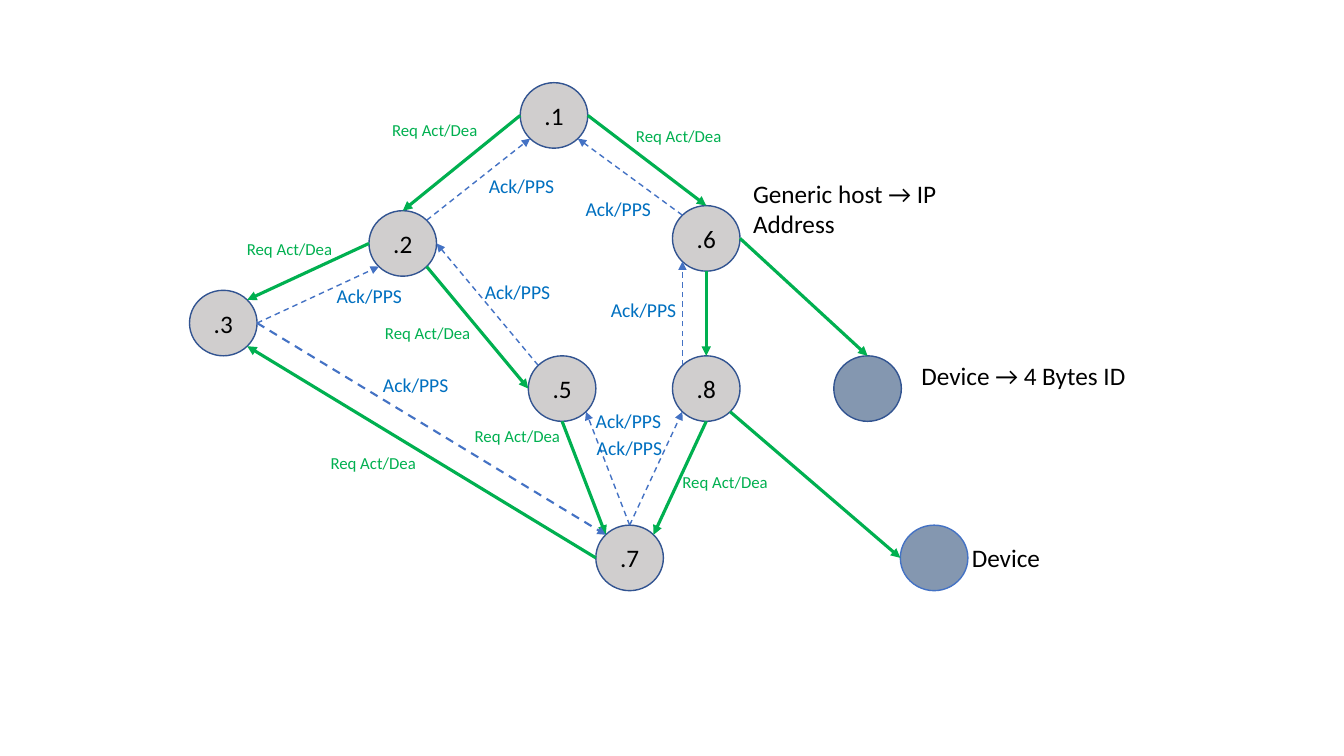
"""Build a slide showing request and acknowledgement flows in a host network."""
import math

from lxml import etree
from pptx import Presentation
from pptx.dml.color import RGBColor
from pptx.enum import dml, shapes, text
from pptx.oxml import ns
from pptx.util import Inches, Pt

BLACK = RGBColor(0x00, 0x00, 0x00)
GREEN = RGBColor(0x00, 0xB0, 0x50)
SKY = RGBColor(0x00, 0x70, 0xC0)
BLUE = RGBColor(0x44, 0x72, 0xC4)
NAVY = RGBColor(0x32, 0x54, 0x91)
GREY = RGBColor(0xD0, 0xCE, 0xCE)
SLATE = RGBColor(0x84, 0x97, 0xB0)

NODE_W, NODE_H = 0.67, 0.65
TOP, TOP_LEFT, LEFT, BOTTOM_LEFT, BOTTOM, BOTTOM_RIGHT, RIGHT, TOP_RIGHT = range(8)

HOSTS = {
    ".1": (5.16, 0.82), ".2": (3.66, 2.09), ".3": (1.88, 2.88), ".5": (5.24, 3.53),
    ".6": (6.67, 2.04), ".7": (5.91, 5.21), ".8": (6.67, 3.53),
}
DEVICES = {"upper": (8.27, 3.53, NAVY), "lower": (8.93, 5.21, BLUE)}

REQUESTS = [
    (".1", LEFT, ".2", TOP), (".2", LEFT, ".3", TOP_RIGHT),
    (".2", BOTTOM_RIGHT, ".5", LEFT), (".1", RIGHT, ".6", TOP),
    (".6", BOTTOM, ".8", TOP), (".8", BOTTOM_RIGHT, "lower", LEFT),
    (".5", BOTTOM, ".7", TOP_LEFT), (".8", BOTTOM, ".7", TOP_RIGHT),
    (".6", RIGHT, "upper", TOP), (".7", LEFT, ".3", BOTTOM_RIGHT),
]
ACKS = [
    (".3", RIGHT, ".2", BOTTOM_LEFT, 1), (".2", TOP_RIGHT, ".1", BOTTOM_LEFT, 1),
    (".6", TOP_LEFT, ".1", BOTTOM_RIGHT, 1), (".8", TOP_LEFT, ".6", BOTTOM_LEFT, 1),
    (".7", TOP, ".8", BOTTOM_LEFT, 1), (".7", TOP, ".5", BOTTOM_RIGHT, 1),
    (".3", RIGHT, ".7", TOP_LEFT, 1.5), (".5", TOP_LEFT, ".2", RIGHT, 1),
]
REQUEST_LABELS = [(2.35, 2.32), (3.79, 1.14), (3.18, 4.44), (6.21, 1.2),
                  (3.72, 3.15), (6.67, 4.63), (4.61, 4.17)]
ACK_LABELS = [(4.75, 1.68), (4.71, 2.73), (3.24, 2.77), (3.7, 3.65),
              (5.71, 1.9), (5.96, 2.91), (5.81, 4.01), (5.82, 4.28)]
NOTES = [
    ("Device → 4 Bytes ID", 9.04, 3.53, 2.55, 0.4),
    ("Device", 9.54, 5.33, 1.12, 0.4),
    ("Generic host → IP Address", 7.37, 1.72, 2.35, 0.71),
]


def write(tf, content, size=18, color=BLACK, align=text.PP_ALIGN.LEFT):
    """Write one formatted paragraph into a text frame."""
    tf.word_wrap = True
    p = tf.paragraphs[0]
    p.alignment = align
    r = p.add_run()
    r.text = content
    r.font.name = "Calibri"
    r.font.size = Pt(size)
    r.font.color.rgb = color


def add_label(s, content, x, y, w, h, **fmt):
    """Add a text box."""
    sp = s.shapes.add_textbox(Inches(x), Inches(y), Inches(w), Inches(h))
    write(sp.text_frame, content, **fmt)
    sp.text_frame.auto_size = text.MSO_AUTO_SIZE.SHAPE_TO_FIT_TEXT


def add_node(s, x, y, fill, line, content=None):
    """Add a round network node, with its number if it has one."""
    sp = s.shapes.add_shape(shapes.MSO_SHAPE.OVAL, Inches(x), Inches(y),
                            Inches(NODE_W), Inches(NODE_H))
    sp.shadow.inherit = False
    sp.fill.solid()
    sp.fill.fore_color.rgb = fill
    sp.line.color.rgb = line
    sp.line.width = Pt(1)
    if content:
        sp.text_frame.vertical_anchor = text.MSO_ANCHOR.MIDDLE
        write(sp.text_frame, content, align=text.PP_ALIGN.CENTER)
    return sp


def site_point(sp, site):
    """Return the point of an oval's connection site, counted anticlockwise from the top."""
    angle = math.radians(45 * site)
    x = sp.left + sp.width / 2 * (1 - math.sin(angle))
    y = sp.top + sp.height / 2 * (1 - math.cos(angle))
    return round(x), round(y)


def add_arrow(s, start, start_site, end, end_site, color, width, dash=None):
    """Add an arrow joined to the connection sites of two nodes."""
    c = s.shapes.add_connector(shapes.MSO_CONNECTOR.STRAIGHT,
                               *site_point(start, start_site), *site_point(end, end_site))
    c.line.color.rgb = color
    c.line.width = Pt(width)
    if dash:
        c.line.dash_style = dash
    joints = c._element.nvCxnSpPr.cNvCxnSpPr
    for tag, sp, site in (("a:stCxn", start, start_site), ("a:endCxn", end, end_site)):
        etree.SubElement(joints, ns.qn(tag), id=str(sp.shape_id), idx=str(site))
    etree.SubElement(c.line._get_or_add_ln(), ns.qn("a:tailEnd"), type="triangle")
    etree.SubElement(c._element.spPr, ns.qn("a:effectLst"))


def main():
    """Build and save the slide."""
    prs = Presentation()
    prs.slide_width, prs.slide_height = Inches(13.33), Inches(7.5)
    s = prs.slides.add_slide(prs.slide_layouts[6])

    nodes = {name: add_node(s, x, y, GREY, NAVY, name) for name, (x, y) in HOSTS.items()}
    for name, (x, y, line) in DEVICES.items():
        nodes[name] = add_node(s, x, y, SLATE, line)

    for start, start_site, end, end_site in REQUESTS:
        add_arrow(s, nodes[start], start_site, nodes[end], end_site, GREEN, 2.25)
    for start, start_site, end, end_site, width in ACKS:
        add_arrow(s, nodes[start], start_site, nodes[end], end_site, BLUE, width,
                  dash=dml.MSO_LINE.DASH)

    for x, y in REQUEST_LABELS:
        add_label(s, "Req Act/Dea", x, y, 1.17, 0.3, size=12, color=GREEN)
    for x, y in ACK_LABELS:
        add_label(s, "Ack/PPS", x, y, 0.93, 0.34, size=14, color=SKY)
    for note in NOTES:
        add_label(s, *note)

    prs.save("out.pptx")


if __name__ == "__main__":
    main()
